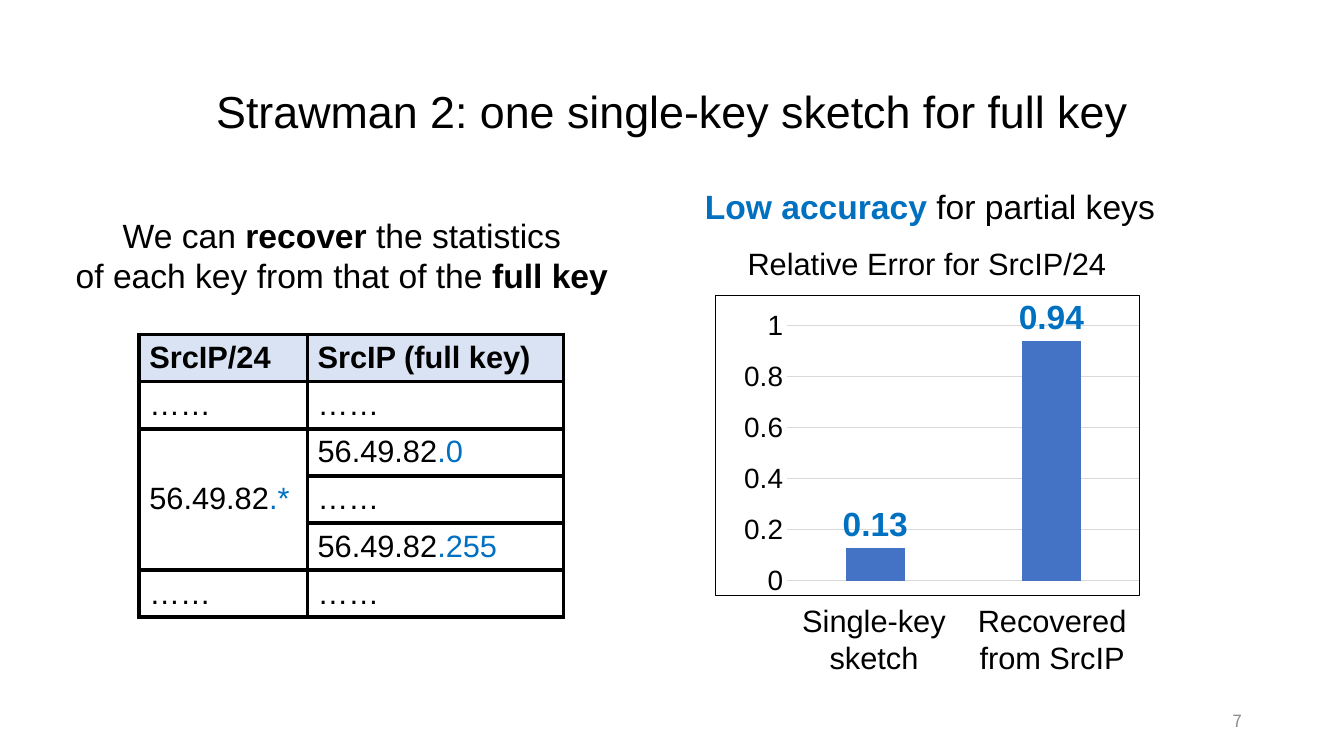
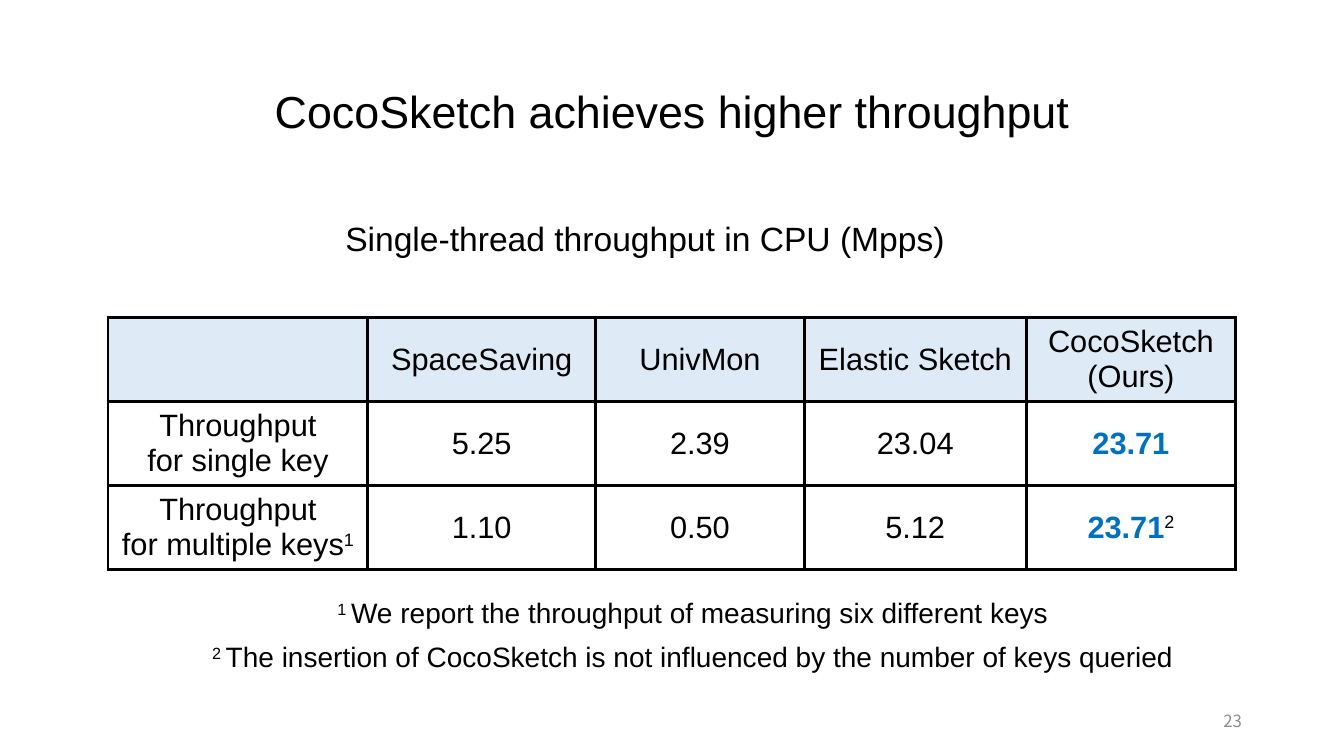
"""Build two slides on sketch accuracy and throughput."""
from pptx import Presentation
from pptx.chart.data import CategoryChartData
from pptx.dml.color import RGBColor
from pptx.enum.chart import XL_CHART_TYPE as CT, XL_LABEL_POSITION as LP, XL_TICK_MARK as TM
from pptx.enum.text import MSO_ANCHOR as MA, PP_ALIGN as PA
from pptx.oxml import parse_xml
from pptx.oxml.ns import nsdecls, qn
from pptx.util import Cm, Pt

COLORS = {"text": "000000", "accent": "0070C0", "number": "8C8C8C", "bar": "4472C4",
          "grid": "D9D9D9", "line": "000000", "white": "FFFFFF",
          "key_head": "DAE3F3", "rate_head": "DEEBF7"}
FONT, NUMBER_FONT = "Arial", "Noto Sans CJK SC"
STYLES = {"bold": {"bold": True}, "blue": {"color": "accent"},
          "key": {"bold": True, "color": "accent"}, "super": {"base": 30}}

TITLES = [("Strawman 2: one single-key sketch for full key", "7"),
          ("CocoSketch achieves higher throughput", "23")]
RECOVER = [["We can ", ("recover", "bold"), " the statistics"],
           ["of each key from that of the ", ("full key", "bold")]]
ACCURACY = [[("Low accuracy ", "key"), "for partial keys"]]
CHART_TITLE = "Relative Error for SrcIP/24"
ERRORS = [("Single-key", "sketch", 0.13), ("Recovered", "from SrcIP", 0.94)]
DOTS = "……"
KEYS = [[[[("SrcIP/24", "bold")]], [[("SrcIP (full key)", "bold")]]],
        [DOTS, DOTS],
        [[["56.49.82", (".*", "blue")]], [["56.49.82", (".0", "blue")]]],
        ["", DOTS],
        ["", [["56.49.82", (".255", "blue")]]],
        [DOTS, DOTS]]
RATE_TITLE = "Single-thread throughput in CPU (Mpps)"
RATES = [["", "SpaceSaving", "UnivMon", "Elastic Sketch", "CocoSketch (Ours)"],
         [[["Throughput"], ["for single key"]], "5.25", "2.39", "23.04", [[("23.71", "key")]]],
         [[["Throughput"], ["for multiple keys", ("1", "super")]], "1.10", "0.50", "5.12",
          [[("23.71", "key"), ("2", "super")]]]]
NOTES = [("1 ", "We report the throughput of measuring six different keys"),
         ("2 ", "The insertion of CocoSketch is not influenced by the number of keys queried")]


def rgb(name):
    return RGBColor.from_string(COLORS[name])


def add_run(p, text, size, bold=False, color="text", base=0, font=FONT):
    r = p.add_run()
    r.text = text
    r.font.name, r.font.size, r.font.bold = font, Pt(size), bold
    r.font.color.rgb = rgb(color)
    if base:
        r.font._element.set("baseline", str(base * 1000))


def write(tf, content, size, align=PA.CENTER, spacing=None, before=None, **look):
    paras = [[content]] if isinstance(content, str) else content
    for i, runs in enumerate(paras):
        p = tf.paragraphs[0] if i == 0 else tf.add_paragraph()
        p.alignment, p.line_spacing, p.space_before = align, spacing, before
        for run in runs:
            text, style = (run, None) if isinstance(run, str) else run
            if text:
                add_run(p, text, size, **STYLES.get(style, {}), **look)


def add_text(s, box, content, size, anchor=MA.TOP, wrap=True, **look):
    tf = s.shapes.add_textbox(*map(Cm, box)).text_frame
    tf.word_wrap, tf.vertical_anchor = wrap, anchor
    write(tf, content, size, **look)


def add_slide(prs, title, number):
    s = prs.slides.add_slide(prs.slide_layouts[5])
    sp = s.shapes.title
    sp.left, sp.top, sp.width, sp.height = map(Cm, (2.34, 1.02, 29.21, 3.68))
    sp.text_frame.vertical_anchor = MA.MIDDLE
    write(sp.text_frame, title, 32, spacing=0.9)
    add_text(s, (23.93, 17.65, 7.62, 1.02), number, 12, anchor=MA.MIDDLE,
             align=PA.RIGHT, color="number", font=NUMBER_FONT)
    return s


def set_borders(cell, width):
    tcPr = cell._tc.get_or_add_tcPr()
    for side in ("lnL", "lnR", "lnT", "lnB"):
        tcPr.append(parse_xml(
            f'<a:{side} {nsdecls("a")} w="{Pt(width)}"><a:solidFill>'
            f'<a:srgbClr val="{COLORS["line"]}"/></a:solidFill></a:{side}>'))


def add_grid(s, left, top, widths, height, rows, head, border, align):
    frame = s.shapes.add_table(len(rows), len(widths), Cm(left), Cm(top),
                               Cm(sum(widths)), Cm(height * len(rows)))
    table = frame.table
    for col, width in zip(table.columns, widths):
        col.width = Cm(width)
    for i, row in enumerate(rows):
        table.rows[i].height = Cm(height)
        for j, content in enumerate(row):
            cell = table.cell(i, j)
            cell.vertical_anchor = MA.MIDDLE
            write(cell.text_frame, content, 22, align=align)
            set_borders(cell, border)
            cell.fill.solid()
            cell.fill.fore_color.rgb = rgb("white" if i else head)
    return table


def add_error_chart(s, box):
    data = CategoryChartData()
    data.categories = [f"{a} {b}" for a, b, _ in ERRORS]
    data.add_series(CHART_TITLE, [v for *_, v in ERRORS])
    chart = s.shapes.add_chart(CT.COLUMN_CLUSTERED, *map(Cm, box), data).chart
    chart.has_title = chart.has_legend = False
    chart.font.name, chart.font.size = FONT, Pt(20)
    chart.font.color.rgb = rgb("text")
    chart.category_axis.visible = False
    axis = chart.value_axis
    axis.minimum_scale, axis.maximum_scale, axis.major_unit = 0, 1, 0.2
    axis.major_tick_mark = axis.minor_tick_mark = TM.NONE
    axis.tick_labels.number_format = "General"
    axis.tick_labels.number_format_is_linked = False
    axis.format.line.fill.background()
    axis.major_gridlines.format.line.color.rgb = rgb("grid")
    axis.major_gridlines.format.line.width = Pt(0.75)
    plot = chart.plots[0]
    plot.gap_width, plot.vary_by_categories = 200, False
    fill = plot.series[0].format.fill
    fill.solid()
    fill.fore_color.rgb = rgb("bar")
    plot.has_data_labels = True
    labels = plot.data_labels
    labels.show_value, labels.position = True, LP.OUTSIDE_END
    labels.number_format, labels.number_format_is_linked = "0.00", False
    labels.font.name, labels.font.size, labels.font.bold = FONT, Pt(24), True
    labels.font.color.rgb = rgb("accent")
    place_plot(chart, x=0.17, y=0.1, w=0.83, h=0.85)


def place_plot(chart, **part):
    c_chart = chart._chartSpace.find(qn("c:chart"))
    area = c_chart.find(qn("c:plotArea"))
    for old in area.findall(qn("c:layout")):
        area.remove(old)
    sizes = "".join(f'<c:{k} val="{v}"/>' for k, v in part.items())
    area.insert(0, parse_xml(
        f'<c:layout {nsdecls("c")}><c:manualLayout><c:layoutTarget val="inner"/>'
        f'<c:xMode val="edge"/><c:yMode val="edge"/>{sizes}</c:manualLayout></c:layout>'))
    c_chart.addnext(parse_xml(
        f'<c:spPr {nsdecls("c", "a")}><a:noFill/><a:ln w="{Pt(0.75)}"><a:solidFill>'
        f'<a:srgbClr val="{COLORS["line"]}"/></a:solidFill></a:ln></c:spPr>'))


def build_accuracy(prs):
    s = add_slide(prs, *TITLES[0])
    add_text(s, (1.02, 5.28, 15.19, 3.33), RECOVER, 24)
    table = add_grid(s, 3.51, 8.43, (4.24, 6.45), 1.12, KEYS, "key_head", 3, PA.LEFT)
    table.cell(2, 0).merge(table.cell(4, 0))
    add_text(s, (15.65, 4.57, 15.57, 1.27), ACCURACY, 24)
    add_error_chart(s, (18.01, 7.44, 10.72, 7.59))
    add_text(s, (18.59, 6.05, 9.68, 1.19), CHART_TITLE, 22, wrap=False, align=PA.LEFT)
    for i, (first, second, _) in enumerate(ERRORS):
        add_text(s, (19.69 + 4.49 * i, 15.04, 4.67, 2.16), [[first], [second]], 22)


def build_throughput(prs):
    s = add_slide(prs, *TITLES[1])
    add_text(s, (1.8, 5.49, 28.91, 1.73), RATE_TITLE, 24, spacing=0.9, before=Pt(10))
    add_grid(s, 2.72, 8, (6.55, 5.74, 5.26, 5.59, 5.28), 1.99, RATES,
             "rate_head", 2.25, PA.CENTER)
    for i, (mark, note) in enumerate(NOTES):
        add_text(s, (3.76, 14.88 + 1.12 * i, 27.41, 1.12), [[(mark, "super"), note]], 20)


def main():
    prs = Presentation()
    prs.slide_width, prs.slide_height = Cm(33.87), Cm(19.05)
    build_accuracy(prs)
    build_throughput(prs)
    prs.save("out.pptx")


if __name__ == "__main__":
    main()
